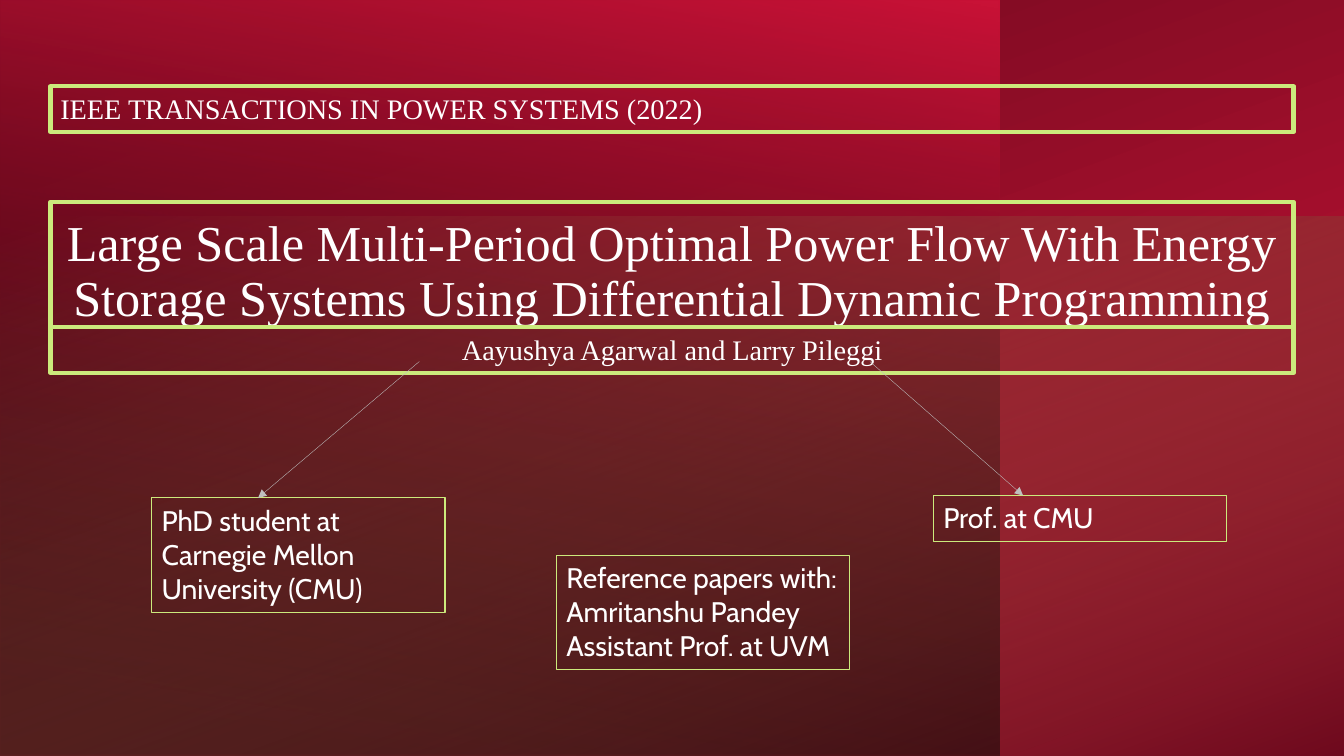
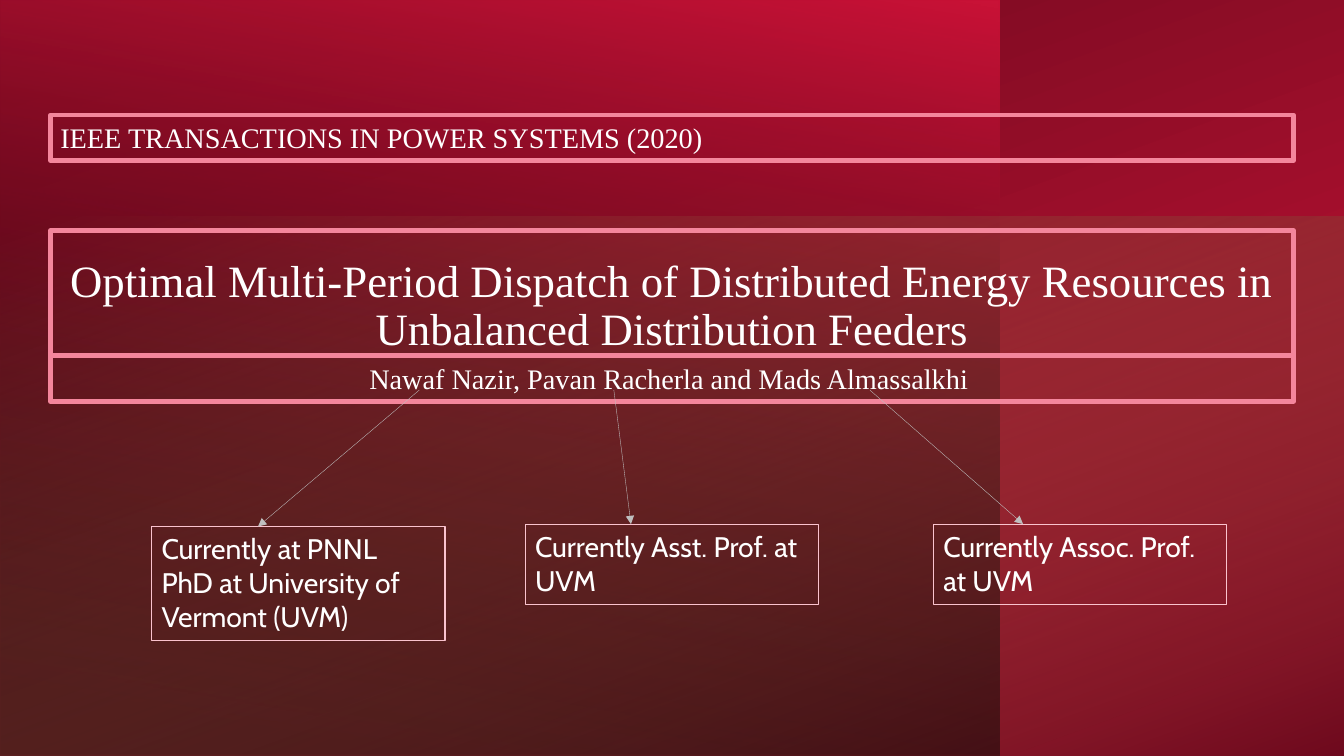
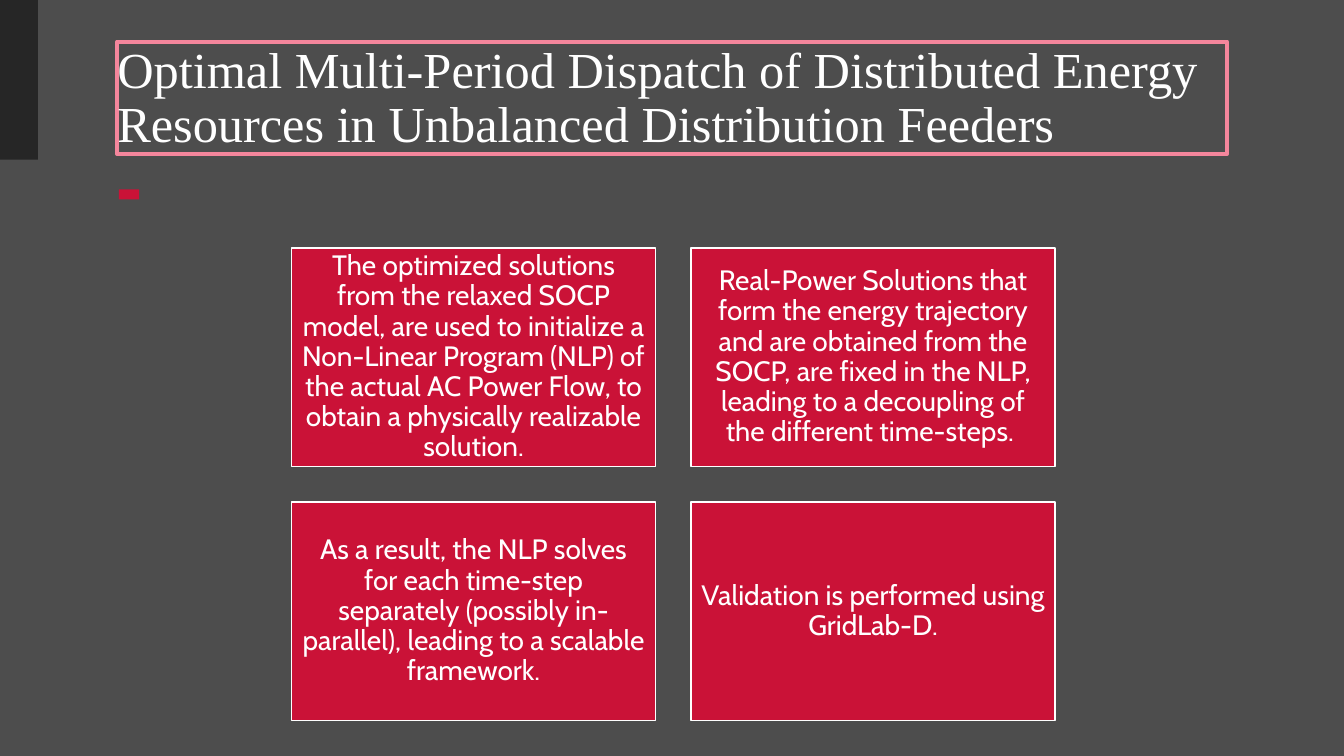
from dataclasses import dataclass
from typing import Any, NamedTuple

from lxml import etree
from pptx import Presentation
from pptx.dml.color import RGBColor
from pptx.enum.shapes import MSO_CONNECTOR, MSO_SHAPE
from pptx.enum.text import MSO_ANCHOR, MSO_AUTO_SIZE, PP_ALIGN
from pptx.oxml import parse_xml
from pptx.oxml.ns import nsdecls, qn
from pptx.util import Emu, Inches, Pt

RECT, LINE = MSO_SHAPE.RECTANGLE, MSO_CONNECTOR.STRAIGHT
LEFT, CENTER = PP_ALIGN.LEFT, PP_ALIGN.CENTER
TOP, MIDDLE, BOTTOM = MSO_ANCHOR.TOP, MSO_ANCHOR.MIDDLE, MSO_ANCHOR.BOTTOM
FIXED = MSO_AUTO_SIZE.NONE

WHITE = RGBColor(0xFF, 0xFF, 0xFF)
BLACK = RGBColor(0x00, 0x00, 0x00)
RED = RGBColor(0xCA, 0x12, 0x37)
WINE = RGBColor(0x65, 0x09, 0x1B)
LIME = RGBColor(0xCC, 0xEA, 0x7C)
PINK = RGBColor(0xF4, 0x86, 0x9C)
BLUSH = RGBColor(0xFA, 0xC3, 0xCE)
SILVER = RGBColor(0xBF, 0xBF, 0xBF)
GREY = RGBColor(0x4D, 0x4D, 0x4D)
COAL = RGBColor(0x26, 0x26, 0x26)
SERIF, SANS = "Times New Roman", "Cabin"

# Grid: 80 columns by 45 rows of square cells
COLS, ROWS = 80, 45
CELL = Inches(7.5) / ROWS
EDGE, SPAN = 3, 74            # side margin and width of the wide frames
BAR, STEP = 2.72, 2.04        # height of one text line box, each further line
NOTE_W = 17.46
NAME_Y = 16.38                # where arrows leave the author line
CARD_W, CARD_H, GAP = 21.66, 13, 2.12


class Box(NamedTuple):
    x: float
    y: float
    w: float
    h: float


class Stop(NamedTuple):
    pos: int
    color: RGBColor
    alpha: int = 100


@dataclass
class Pane:
    box: Box
    turn: int
    angle: int
    stops: tuple[Stop, Stop]


@dataclass
class Note:
    text: str
    x: float
    dy: float
    lines: int
    start: float | None = None   # arrow start and tip columns
    tip: float = 0


@dataclass
class Paper:
    top: float
    venue: str
    title: str
    size: float
    names: str
    frame: RGBColor
    edge: RGBColor
    notes: list[Note]


PANES = [
    Pane(Box(0, 0, COLS, ROWS), 270, 200, (Stop(8, RED), Stop(100, WINE))),
    Pane(Box(0, 0, 59.5, ROWS), 180, 80, (Stop(8, BLACK, 52), Stop(100, RED))),
    Pane(Box(0, 12.9, COLS, 32.1), 270, 20, (Stop(0, LIME, 0), Stop(100, BLACK, 46))),
]

DISPATCH = ("Optimal Multi-Period Dispatch of Distributed Energy Resources "
            "in Unbalanced Distribution Feeders")

PAPERS = [
    Paper(5.14, "IEEE TRANSACTIONS IN POWER SYSTEMS (2022)",
          "Large Scale Multi-Period Optimal Power Flow With Energy Storage Systems "
          "Using Differential Dynamic Programming", 35.9,
          "Aayushya Agarwal and Larry Pileggi", LIME, LIME, [
              Note("PhD student at Carnegie Mellon University (CMU)", 9.03, 24.5, 3, 24.96, 15.36),
              Note("Prof. at CMU", 55.56, 24.36, 1, 51.78, 60.9),
              Note("Reference papers with: Amritanshu Pandey Assistant Prof. at UVM",
                   33.12, 27.9, 3)]),
    Paper(6.84, "IEEE TRANSACTIONS IN POWER SYSTEMS (2020)", DISPATCH, 32,
          "Nawaf Nazir, Pavan Racherla and Mads Almassalkhi ", PINK, BLUSH, [
              Note("Currently at PNNL\nPhD at University of Vermont (UVM)",
                   9.03, 24.5, 3, 24.96, 15.36),
              Note("Currently Asst. Prof. at UVM", 31.26, 24.36, 2, 36.54, 37.56),
              Note("Currently Assoc. Prof. at UVM", 55.56, 24.36, 2, 51.78, 60.9)]),
]

CARDS = [
    "The optimized solutions from the relaxed SOCP model, are used to initialize a "
    "Non-Linear Program (NLP) of the actual AC Power Flow, to obtain a physically "
    "realizable solution.",
    "Real-Power Solutions that form the energy trajectory and are obtained from the "
    "SOCP, are fixed in the NLP, leading to a decoupling of the different time-steps. ",
    "As a result, the NLP solves for each time-step separately (possibly in-parallel), "
    "leading to a scalable framework.",
    "Validation is performed using GridLab-D.",
]


def cell(n: float) -> Emu:
    return Emu(round(n * CELL))


def put(item: Any, form: dict[str, Any]) -> None:
    for key, value in form.items():
        setattr(item, key, value)


def pad(side: float, end: float) -> dict[str, Emu]:
    return {"margin_left": cell(side), "margin_right": cell(side),
            "margin_top": cell(end), "margin_bottom": cell(end)}


def stroke(shape: Any, color: RGBColor, width: float) -> None:
    shape.line.color.rgb = color
    shape.line.width = Pt(width)


def write(shape: Any, text: str, size: float, face: str, align: PP_ALIGN,
          anchor: MSO_ANCHOR, space: float, pads: dict[str, Emu]) -> None:
    frame = shape.text_frame
    put(frame, {"word_wrap": True, "auto_size": FIXED, "vertical_anchor": anchor, **pads})
    para = frame.paragraphs[0]
    para.text = text
    put(para, {"alignment": align, "line_spacing": space})
    for run in para.runs:
        put(run.font, {"size": Pt(size), "name": face})
        run.font.color.rgb = WHITE


def rect(slide: Any, box: Box, fill: RGBColor) -> Any:
    shape = slide.shapes.add_shape(RECT, *map(cell, box))
    shape.shadow.inherit = False
    shape.fill.solid()
    shape.fill.fore_color.rgb = fill
    shape.line.fill.background()
    return shape


def head(slide: Any, text: str, box: Box, size: float, align: PP_ALIGN,
         color: RGBColor) -> None:
    title = slide.shapes.title
    put(title, dict(zip(("left", "top", "width", "height"), map(cell, box))))
    stroke(title, color, 3)
    write(title, text, size, SERIF, align, BOTTOM, 0.9, pad(0, 0))


def label(slide: Any, text: str, box: Box, face: str, color: RGBColor,
          width: float, align: PP_ALIGN = LEFT) -> None:
    shape = slide.shapes.add_textbox(*map(cell, box))
    stroke(shape, color, width)
    write(shape, text, 20.2, face, align, TOP, 1.0, pad(0.6, 0.3))


def glow(slide: Any, pane: Pane) -> None:
    """Draw a mirrored gradient pane behind the title."""
    x, y, w, h = pane.box
    if pane.turn % 180:
        x, y, w, h = x + (w - h) / 2, y + (h - w) / 2, h, w
    shape = rect(slide, Box(x, y, w, h), RED)
    shape.rotation = pane.turn
    props = shape.element.spPr
    props.find(qn("a:xfrm")).set("flipH", "1")
    stops = "".join(
        f'<a:gs pos="{s.pos * 1000}"><a:srgbClr val="{s.color}">'
        f'<a:alpha val="{s.alpha * 1000}"/></a:srgbClr></a:gs>' for s in pane.stops)
    fill = parse_xml(
        f'<a:gradFill {nsdecls("a")} rotWithShape="1"><a:gsLst>{stops}</a:gsLst>'
        f'<a:lin ang="{pane.angle * 60000}" scaled="0"/></a:gradFill>')
    props.replace(props.find(qn("a:solidFill")), fill)
    slide.shapes.title.element.addprevious(shape.element)


def arrow(slide: Any, x: float, y: float, to_x: float, to_y: float) -> None:
    link = slide.shapes.add_connector(LINE, *map(cell, (x, y, to_x, to_y)))
    stroke(link, SILVER, 0.25)
    props = link.element.spPr
    etree.SubElement(props.find(qn("a:ln")), qn("a:tailEnd"), type="triangle")
    etree.SubElement(props, qn("a:effectLst"))


def cover(slide: Any, paper: Paper) -> None:
    for pane in PANES:
        glow(slide, pane)
    top, color = paper.top, paper.frame
    head(slide, paper.title, Box(EDGE, top + 6.88, SPAN, 7.44), paper.size, CENTER, color)
    label(slide, paper.names, Box(EDGE, top + 14.34, SPAN, BAR), SERIF, color, 3, CENTER)
    label(slide, paper.venue, Box(EDGE, top, SPAN, BAR), SERIF, color, 3)
    # Author notes and their arrows
    for note in paper.notes:
        y = top + note.dy
        high = BAR + STEP * (note.lines - 1)
        label(slide, note.text, Box(note.x, y, NOTE_W, high), SANS, paper.edge, 0.75)
        if note.start is not None:
            arrow(slide, note.start, top + NAME_Y, note.tip, y)


def method(slide: Any) -> None:
    slide.background.fill.solid()
    slide.background.fill.fore_color.rgb = GREY
    # Corner tab and title dash
    rect(slide, Box(0, 0, 2.26, 9.5), COAL)
    rect(slide, Box(7.08, 11.28, 1.2, 0.6), RED)
    head(slide, DISPATCH, Box(6.98, 2.48, 66.06, 6.68), 36, LEFT, PINK)
    # Two by two cards
    for i, text in enumerate(CARDS):
        row, col = divmod(i, 2)
        box = Box(17.36 + col * (CARD_W + GAP), 14.76 + row * (CARD_H + GAP), CARD_W, CARD_H)
        card = rect(slide, box, RED)
        stroke(card, WHITE, 1)
        write(card, text, 20, SANS, CENTER, MIDDLE, 0.9, pad(0.57, 0.48))


def main() -> None:
    deck = Presentation()
    put(deck, {"slide_width": cell(COLS), "slide_height": cell(ROWS)})
    plain = deck.slide_layouts[5]
    for paper in PAPERS:
        cover(deck.slides.add_slide(plain), paper)
    method(deck.slides.add_slide(plain))
    deck.save("out.pptx")


if __name__ == "__main__":
    main()
